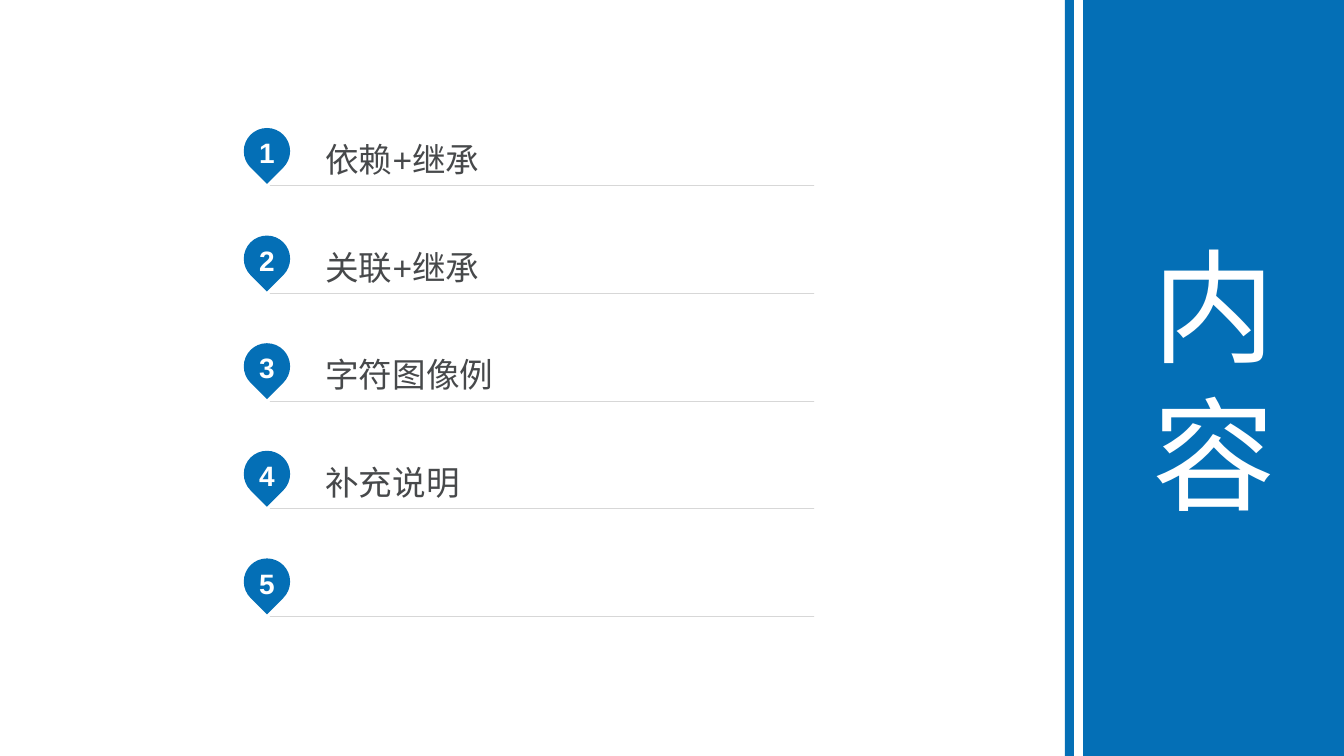
from math import cos, radians, sin, sqrt, tan

from pptx import Presentation
from pptx.dml.color import RGBColor
from pptx.enum.shapes import MSO_SHAPE
from pptx.enum.text import MSO_ANCHOR, PP_ALIGN
from pptx.oxml.ns import qn
from pptx.util import Inches, Pt

TITLE = "内容"
TOPICS = ["依赖+继承", "关联+继承", "字符图像例", "补充说明", ""]

BLUE, WHITE, GRAY, RULE = "046FB6", "FFFFFF", "47494B", "D7D7D7"
SLIDE_WIDTH, SLIDE_HEIGHT = 13.34, 7.5
PIN_CENTER, PIN_RADIUS = 2.65, 0.23
PIN_ARCS = [(135, 180), (180, 270), (270, 360), (360, 405)]
FIRST_TOP, LAST_TOP = 1.27, 5.54
TOPIC_LEFT, TOPIC_WIDTH, TOPIC_HEIGHT = 2.68, 5.4, 0.55
TOPIC_DROP = 0.02
PANEL = (10.75, 0, 2.6, SLIDE_HEIGHT)
STRIPE = (10.57, -0.02, 0.09, 7.52)


def color(value):
    return RGBColor.from_string(value)


def paint(shape, fill):
    """Give the shape a flat fill without outline or shadow."""
    shape.shadow.inherit = False
    shape.fill.solid()
    shape.fill.fore_color.rgb = color(fill)
    shape.line.fill.background()


def write(shape, text, size, ink=WHITE, bold=False, align=PP_ALIGN.CENTER,
          insets=(0.1, 0.05, 0.1, 0.05), spacing=None):
    frame = shape.text_frame
    frame.word_wrap = True
    frame.vertical_anchor = MSO_ANCHOR.MIDDLE
    (frame.margin_left, frame.margin_top,
     frame.margin_right, frame.margin_bottom) = map(Inches, insets)
    para = frame.paragraphs[0]
    para.alignment = align
    para.line_spacing = spacing
    span = para.add_run()
    span.text = text
    span.font.name = "Arial"
    span.font.size = Pt(size)
    span.font.bold = bold
    span.font.color.rgb = color(ink)


def arc_points(middle, start, end):
    """Return the two control points and the end point of one pin arc."""
    reach = 4 / 3 * tan(radians(end - start) / 4)

    def point(angle, pull):
        turn = radians(angle)
        return (Inches(PIN_CENTER + PIN_RADIUS * (cos(turn) - pull * sin(turn))),
                Inches(middle + PIN_RADIUS * (sin(turn) + pull * cos(turn))))

    return [point(start, reach), point(end, -reach), point(end, 0)]


def bend(shape, first):
    """Turn each three line segments from the given one into a Bézier curve."""
    segments = list(shape._element.iter(qn("a:lnTo")))[first:]
    for curve, second, third in zip(segments[::3], segments[1::3], segments[2::3]):
        curve.tag = qn("a:cubicBezTo")
        for segment in (second, third):
            curve.append(segment[0])
            segment.getparent().remove(segment)


def add_pin(page, top, number):
    """Draw a round marker whose lower tip is a right angle."""
    middle = top + PIN_RADIUS
    side = PIN_RADIUS / sqrt(2)
    builder = page.shapes.build_freeform(
        Inches(PIN_CENTER), Inches(middle + 2 * side))
    points = [(Inches(PIN_CENTER - side), Inches(middle + side))]
    for start, end in PIN_ARCS:
        points += arc_points(middle, start, end)
    builder.add_line_segments(points, close=True)
    pin = builder.convert_to_shape()
    bend(pin, first=1)
    paint(pin, BLUE)
    write(pin, str(number), 20, bold=True, insets=(0.1, 0.05, 0.1, 0.12))


def add_topic(page, top, text):
    """Draw an underlined field; a point at its top left sets its height."""
    left, right = Inches(TOPIC_LEFT), Inches(TOPIC_LEFT + TOPIC_WIDTH)
    upper, lower = Inches(top), Inches(top + TOPIC_HEIGHT)
    builder = page.shapes.build_freeform(left, lower)
    builder.add_line_segments([(right, lower)], close=True)
    builder.move_to(left, upper)
    builder.add_line_segments([(left, upper)], close=True)
    field = builder.convert_to_shape()
    field.shadow.inherit = False
    field.fill.background()
    field.line.color.rgb = color(RULE)
    field.line.width = Pt(0.25)
    if text:
        write(field, text, 24, ink=GRAY, align=PP_ALIGN.LEFT,
              insets=(0.55, 0, 0, 0.04), spacing=1.17)


def add_bar(page, place):
    bar = page.shapes.add_shape(MSO_SHAPE.RECTANGLE, *map(Inches, place))
    paint(bar, BLUE)
    return bar


def main():
    deck = Presentation()
    deck.slide_width, deck.slide_height = Inches(SLIDE_WIDTH), Inches(SLIDE_HEIGHT)
    page = deck.slides.add_slide(deck.slide_layouts[6])

    pitch = (LAST_TOP - FIRST_TOP) / (len(TOPICS) - 1)
    for index, topic in enumerate(TOPICS):
        top = FIRST_TOP + index * pitch
        add_pin(page, top, index + 1)
        add_topic(page, top + TOPIC_DROP, topic)

    write(add_bar(page, PANEL), TITLE, 88)
    add_bar(page, STRIPE)

    deck.save("out.pptx")


if __name__ == "__main__":
    main()
